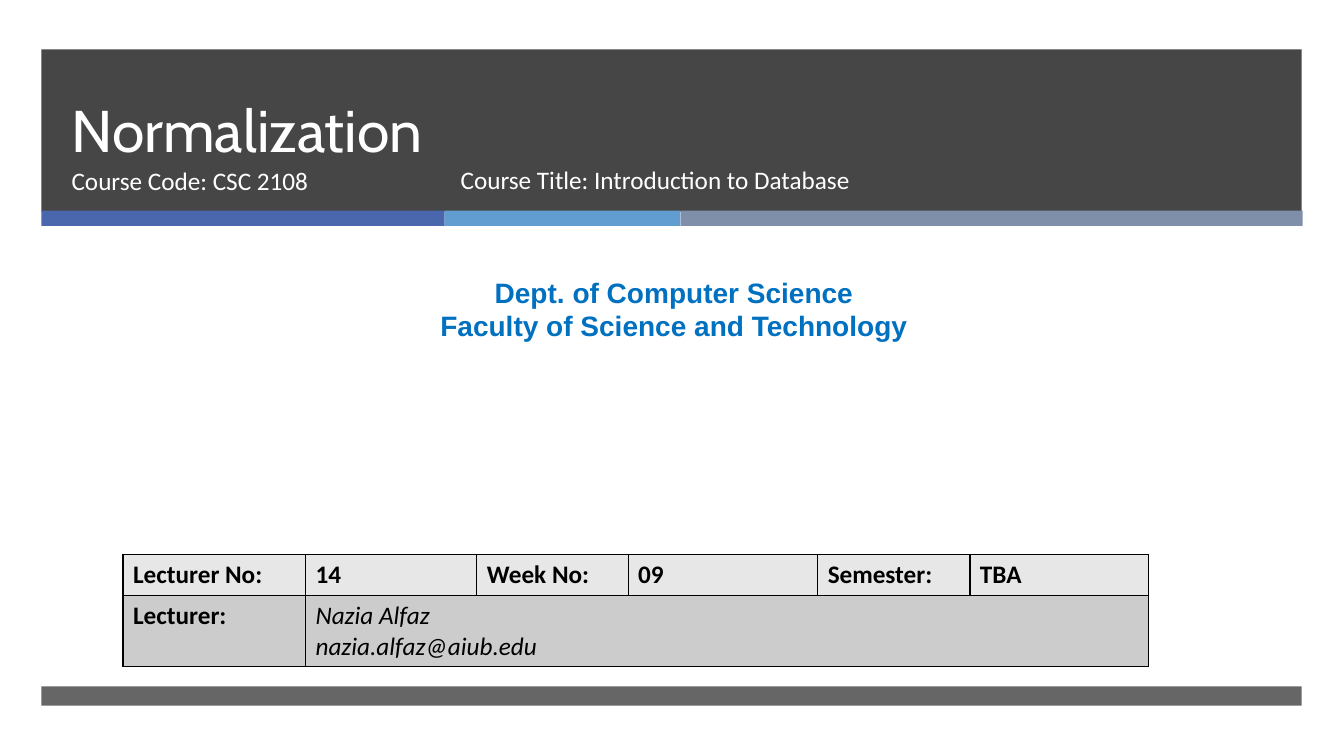
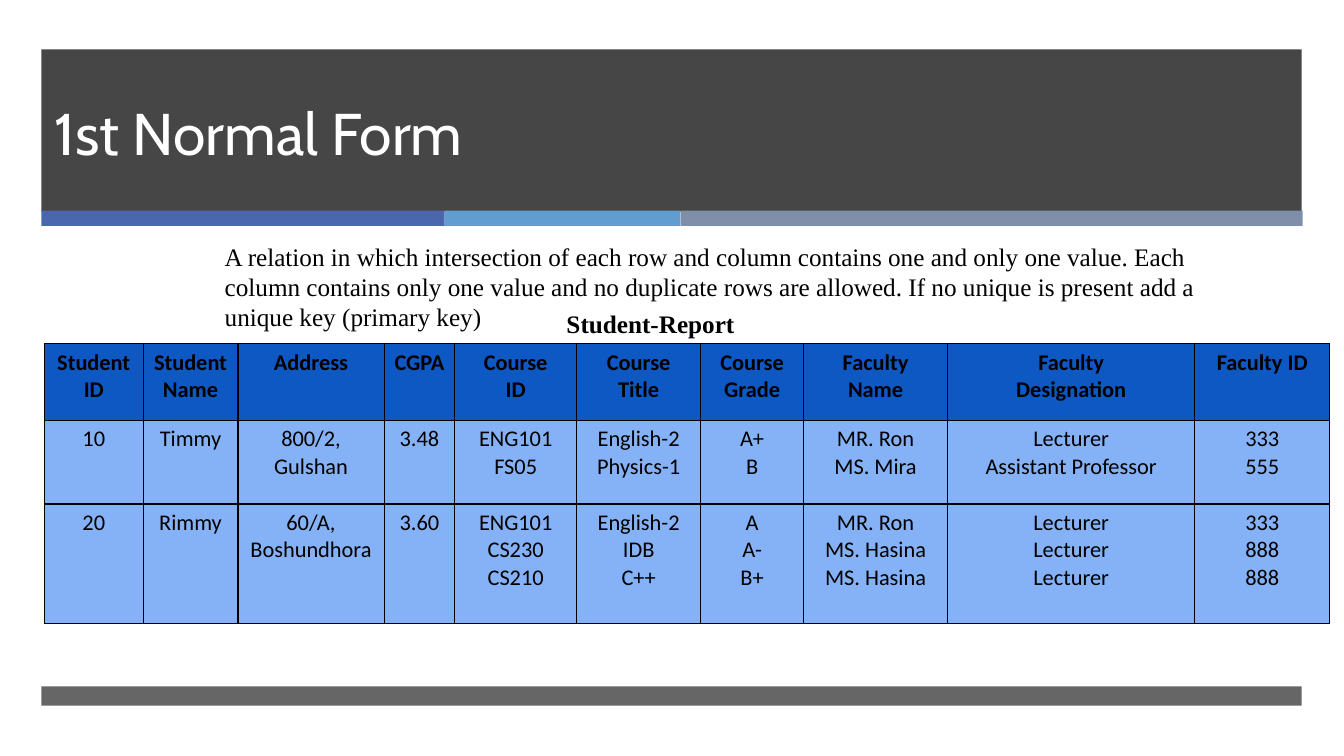
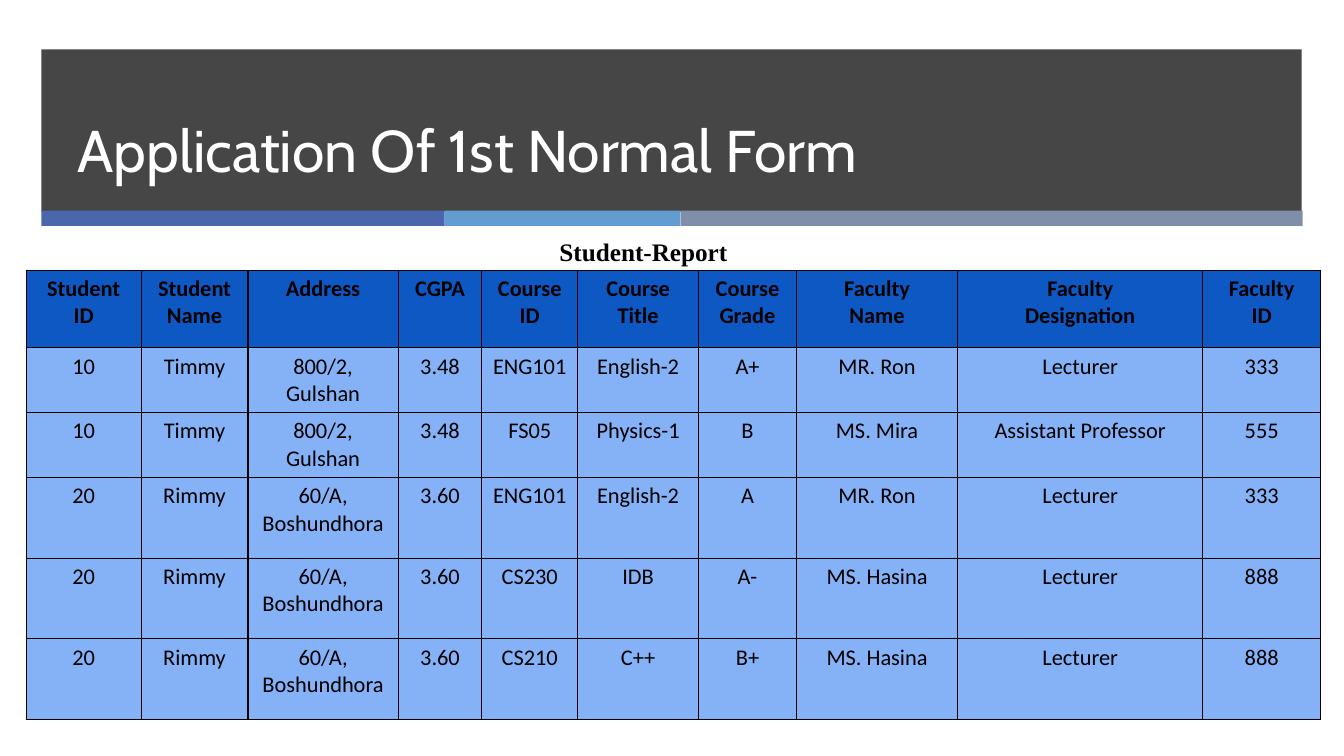
from lxml import etree
from pptx import Presentation
from pptx import util as u
from pptx.dml.color import RGBColor
from pptx.enum import shapes, text
from pptx.oxml.ns import qn

Inches, Pt = u.Inches, u.Pt

# Palette
WHITE = RGBColor(0xFF, 0xFF, 0xFF)
BLACK = RGBColor(0, 0, 0)
CHARCOAL = RGBColor(0x26, 0x26, 0x26)
INDIGO = RGBColor(0x4A, 0x66, 0xAC)
SKY = RGBColor(0x62, 0x9D, 0xD1)
SLATE = RGBColor(0x7F, 0x8F, 0xA9)
DEPARTMENT_BLUE = RGBColor(0x00, 0x70, 0xC0)
LIGHT_GREY = RGBColor(0xE7, 0xE7, 0xE7)
MID_GREY = RGBColor(0xCC, 0xCC, 0xCC)
HEADER_BLUE = RGBColor(0x0E, 0x58, 0xC4)
ROW_BLUE = RGBColor(0x85, 0xB2, 0xF6)

# Bands shared by all slides: box, colour, opacity in percent
BANDS = [
    ((0.41, 0.49, 12.5, 1.61), CHARCOAL, 85),
    ((0.41, 2.09, 4, 0.15), INDIGO, 100),
    ((4.41, 2.09, 2.34, 0.15), SKY, 100),
    ((6.75, 2.09, 6.17, 0.15), SLATE, 100),
    ((0.41, 6.81, 12.5, 0.19), CHARCOAL, 70),
]

# Student report: one row per student, several courses to a row
HEADINGS = ["Student\nID", "Student\nName", "Address", "CGPA", "Course\nID",
            "Course\nTitle", "Course\nGrade", "Faculty\nName",
            "Faculty\nDesignation"]
STUDENTS = [
    ["10", "Timmy", "800/2, Gulshan", "3.48", "ENG101\nFS05",
     "English-2\nPhysics-1", "A+\nB", "MR. Ron\nMS. Mira",
     "Lecturer\nAssistant Professor", "333\n555"],
    ["20", "Rimmy", "60/A,\nBoshundhora", "3.60", "ENG101\nCS230\nCS210",
     "English-2\nIDB\nC++", "A\nA-\nB+", "MR. Ron\nMS. Hasina\nMS. Hasina",
     "Lecturer\nLecturer\nLecturer", "333\n888\n888"],
]
STUDENT_FIELDS = 4


def first_normal_form(students):
    """Give every course of a student a row of its own."""
    return [student[:STUDENT_FIELDS] + list(course)
            for student in students
            for course in zip(*(field.split("\n")
                                for field in student[STUDENT_FIELDS:]))]


def place(shape, box):
    shape.left, shape.top, shape.width, shape.height = map(Inches, box)


def write(frame, content, size=18, font="Calibri", color=BLACK, bold=False,
          italic=False, align=text.PP_ALIGN.LEFT, spacing=None):
    """Fill a text frame, one paragraph to a line of content."""
    frame.word_wrap = True
    for i, line in enumerate(content.split("\n")):
        paragraph = frame.paragraphs[0] if i == 0 else frame.add_paragraph()
        paragraph.alignment = align
        paragraph.space_before = Pt(0)
        if spacing:
            paragraph.line_spacing = Pt(spacing)
        run = paragraph.add_run()
        run.text = line
        run.font.name, run.font.size = font, Pt(size)
        run.font.bold, run.font.italic = bold, italic
        run.font.color.rgb = color


def add_text(slide, box, content, **style):
    write(slide.shapes.add_textbox(*map(Inches, box)).text_frame,
          content, **style)


def set_placeholder(placeholder, box, content, anchor, **style):
    place(placeholder, box)
    frame = placeholder.text_frame
    frame.auto_size = text.MSO_AUTO_SIZE.NONE
    frame.vertical_anchor = anchor
    write(frame, content, color=WHITE, **style)


def set_title(slide, box, content):
    set_placeholder(slide.shapes.title, box, content, text.MSO_ANCHOR.BOTTOM,
                    size=42, font="Cabin", spacing=46)


def add_bands(slide, master):
    """Draw the bands and put them at the back of the slide master."""
    for i, (box, color, opacity) in enumerate(BANDS):
        band = slide.shapes.add_shape(shapes.MSO_SHAPE.RECTANGLE,
                                      *map(Inches, box))
        band.shadow.inherit = False
        band.line.fill.background()
        band.fill.solid()
        band.fill.fore_color.rgb = color
        if opacity < 100:
            tint = band.element.spPr.find(".//" + qn("a:srgbClr"))
            etree.SubElement(tint, qn("a:alpha"), val=str(opacity * 1000))
        band.element.nvSpPr.cNvPr.set("id", str(101 + i))
        master.shapes.element.insert(2 + i, band.element)


def add_borders(cell):
    properties = cell._tc.get_or_add_tcPr()
    for i, side in enumerate(("a:lnL", "a:lnR", "a:lnT", "a:lnB")):
        line = etree.Element(qn(side), w=str(Pt(1)))
        fill = etree.SubElement(line, qn("a:solidFill"))
        etree.SubElement(fill, qn("a:srgbClr"), val=str(BLACK))
        properties.insert(i, line)


def add_grid(slide, left, top, widths, heights):
    """Add a bordered table without a banded style."""
    table = slide.shapes.add_table(
        len(heights), len(widths), Inches(left), Inches(top),
        Inches(sum(widths)), Inches(sum(heights))).table
    table.first_row = table.horz_banding = False
    for column, width in zip(table.columns, widths):
        column.width = Inches(width)
    for row, height in zip(table.rows, heights):
        row.height = Inches(height)
    for cell in table.iter_cells():
        add_borders(cell)
    return table


def fill_cell(cell, content, fill, **style):
    cell.fill.solid()
    cell.fill.fore_color.rgb = fill
    if content:
        write(cell.text_frame, content, **style)


def add_lecture_table(slide, left, top):
    table = add_grid(slide, left, top, [1.81, 1.7, 1.5, 1.88, 1.51, 1.77],
                     [0.41, 0.7])
    lecture = ["Lecturer No:", "14", "Week No:", "09", "Semester:", "TBA"]
    for column, content in enumerate(lecture):
        fill_cell(table.cell(0, column), content, LIGHT_GREY, bold=True)
        fill_cell(table.cell(1, column), "", MID_GREY)
    table.cell(1, 1).merge(table.cell(1, 5))
    write(table.cell(1, 0).text_frame, "Lecturer:", bold=True)
    write(table.cell(1, 1).text_frame, "Nazia Alfaz\nnazia.alfaz@aiub.edu",
          italic=True)


def add_report(slide, left, top, widths, heights, rows, caption_at):
    """Student report with its caption."""
    table = add_grid(slide, left, top, widths, heights)
    for r, row in enumerate(rows):
        for c, content in enumerate(row):
            cell = table.cell(r, c)
            cell.margin_left = cell.margin_right = Inches(0.08)
            fill_cell(cell, content, ROW_BLUE if r else HEADER_BLUE, size=16,
                      bold=r == 0, align=text.PP_ALIGN.CENTER)
    add_text(slide, (*caption_at, 2.18, 0.4), "Student-Report",
             font="Times New Roman", bold=True)


def build_cover(slide):
    set_title(slide, (0.61, 0.49, 11.39, 1.19), "Normalization")
    set_placeholder(slide.placeholders[1], (0.61, 1.59, 3.05, 0.53),
                    "Course Code: CSC 2108", text.MSO_ANCHOR.TOP)
    add_text(slide, (1.75, 2.68, 9.87, 0.77),
             "Dept. of Computer Science\nFaculty of Science and Technology",
             size=20, font="Arial", color=DEPARTMENT_BLUE, bold=True,
             align=text.PP_ALIGN.CENTER)
    add_lecture_table(slide, 1.22, 5.5)
    add_text(slide, (4.47, 1.58, 4.55, 0.53),
             "Course Title: Introduction to Database", color=WHITE)


def build_definition(slide):
    set_title(slide, (0.44, 0.52, 5.71, 1.19), "1st Normal Form")
    add_text(slide, (2.13, 2.34, 10.38, 1.01),
             "A relation in which intersection of each row and column contains "
             "one and only one value. Each column contains only one value and "
             "no duplicate rows are allowed. If no unique is present add a "
             "unique key (primary key)", font="Times New Roman")
    add_report(slide, 0.44, 3.41,
               [0.98, 0.94, 1.45, 0.7, 1.21, 1.23, 1.02, 1.43, 2.45, 1.34],
               [0.76, 0.83, 1.19],
               [HEADINGS + ["Faculty ID"]] + STUDENTS, (5.52, 3.01))


def build_application(slide):
    set_title(slide, (0.67, 0.69, 9.56, 1.19), "Application Of 1st Normal Form")
    add_report(slide, 0.26, 2.68,
               [1.14, 1.06, 1.49, 0.83, 0.95, 1.2, 0.97, 1.6, 2.43, 1.17],
               [0.77] + [0.64] * 2 + [0.8] * 3,
               [HEADINGS + ["Faculty\nID"]] + first_normal_form(STUDENTS),
               (5.45, 2.3))


def main():
    deck = Presentation()
    deck.slide_width, deck.slide_height = Inches(13.33), Inches(7.5)
    cover_layout, title_layout = deck.slide_layouts[0], deck.slide_layouts[5]
    cover = deck.slides.add_slide(cover_layout)
    add_bands(cover, deck.slide_master)
    build_cover(cover)
    build_definition(deck.slides.add_slide(title_layout))
    build_application(deck.slides.add_slide(title_layout))
    deck.save("out.pptx")


if __name__ == "__main__":
    main()
